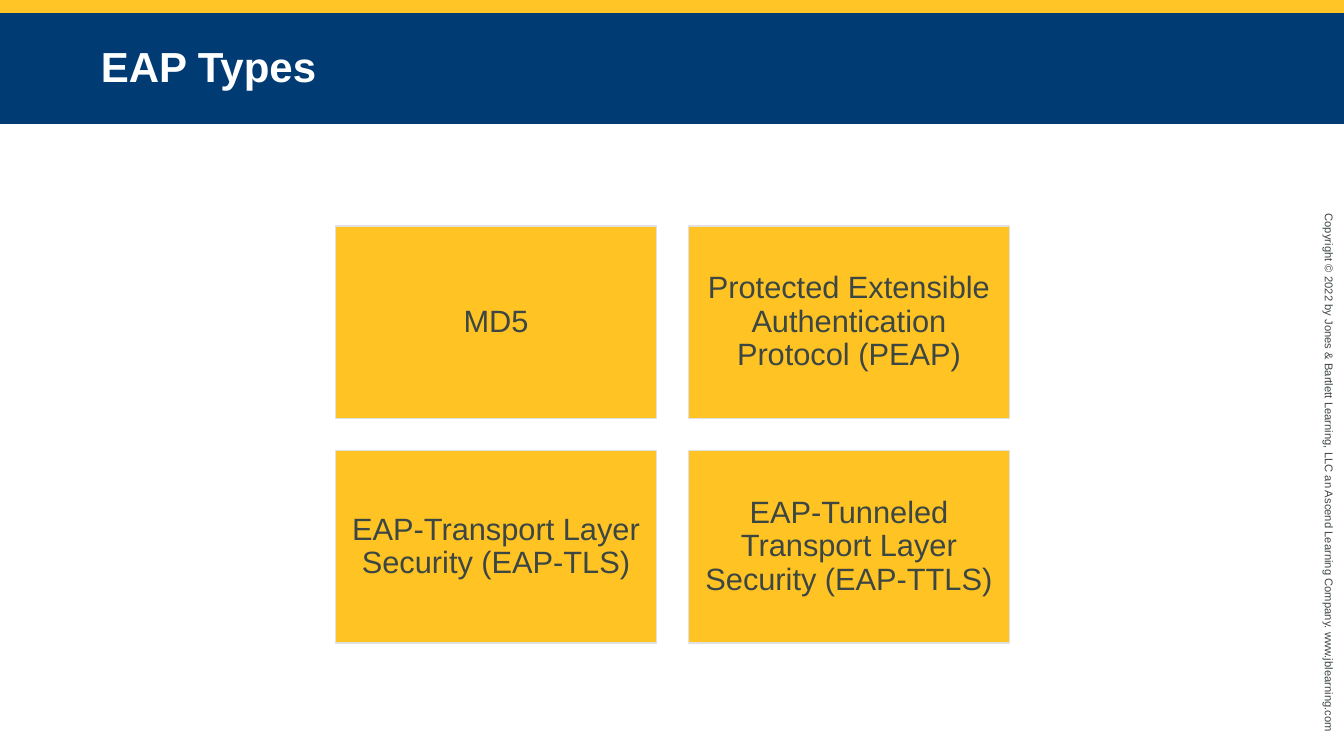
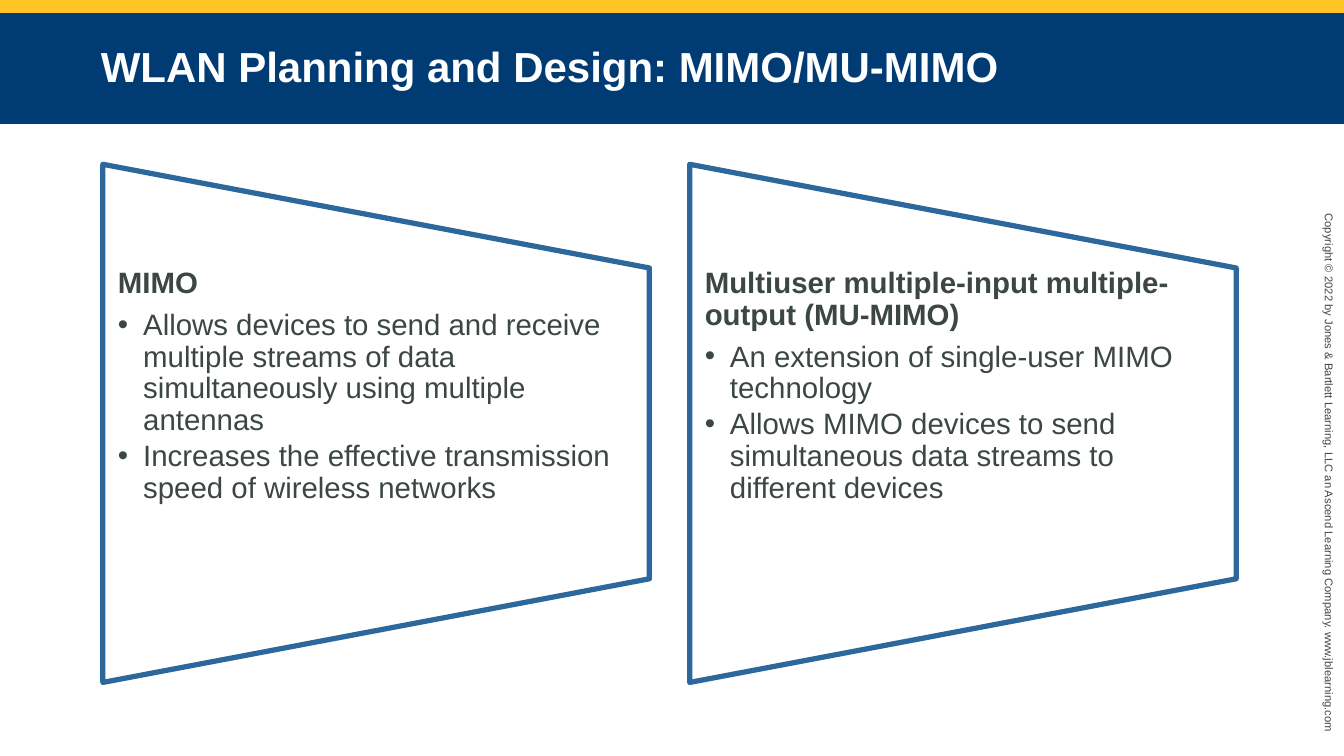
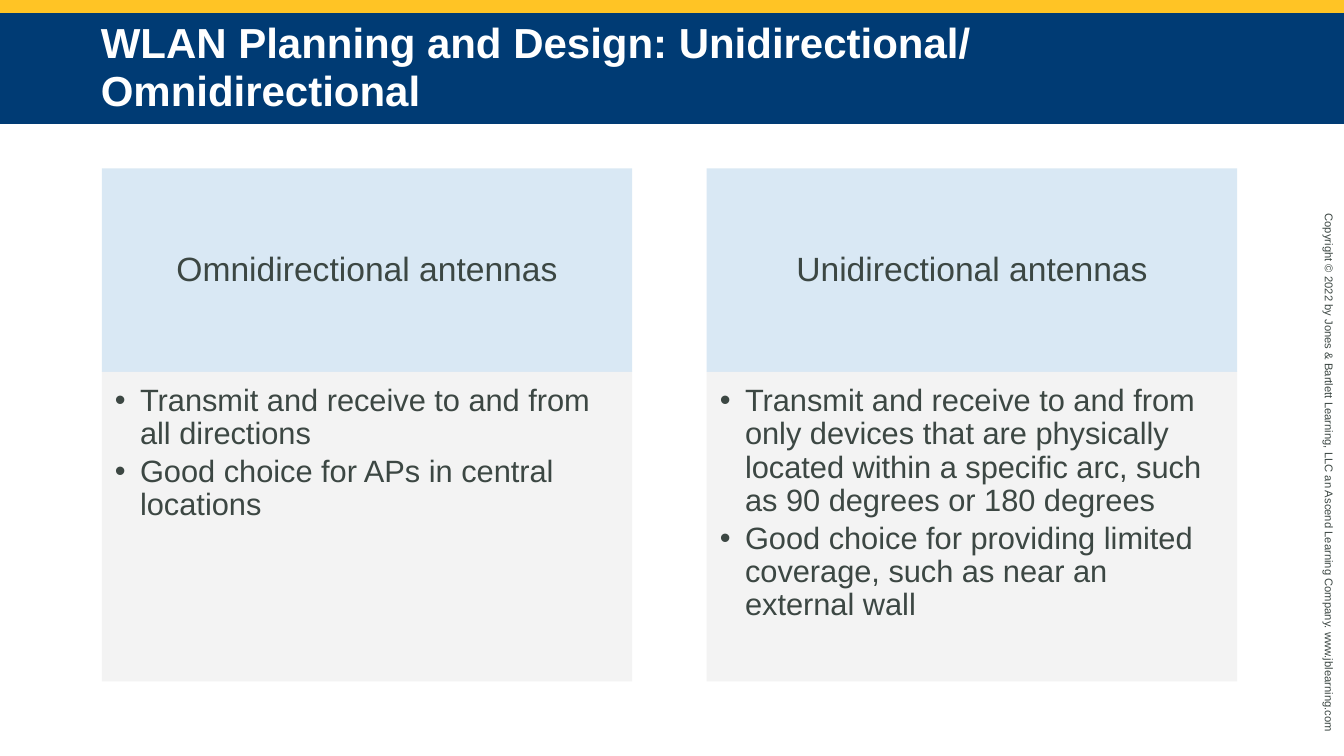
"""Build three slides on EAP types and WLAN planning and design."""
from dataclasses import dataclass

import pptx
import pptx.util
import pptx.dml.color
import pptx.enum.shapes
import pptx.enum.text
import pptx.oxml.ns
from lxml import etree

Inches = pptx.util.Inches
Pt = pptx.util.Pt
Shape = pptx.enum.shapes.MSO_SHAPE
Align = pptx.enum.text.PP_ALIGN
Anchor = pptx.enum.text.MSO_ANCHOR
qn = pptx.oxml.ns.qn


@dataclass(frozen=True)
class Theme:
    """Colours, font, type sizes and slide measures."""
    font: str = "Arial"
    text: str = "3C4743"
    white: str = "FFFFFF"
    band: str = "FFC425"
    title_fill: str = "003B74"
    tile: str = "FFC324"
    tile_line: str = "E1E1E1"
    outline: str = "2C689B"
    header: str = "D9E8F4"
    body: str = "F2F2F2"
    title_size: int = 30
    header_size: int = 24
    tile_size: int = 22
    panel_size: int = 21
    footer_size: int = 8
    width: float = 13.33
    height: float = 7.5
    band_height: float = 0.13
    title_height: float = 1.1


THEME = Theme()
COPYRIGHT = ("Copyright © 2022 by Jones & Bartlett Learning, LLC an Ascend "
             "Learning Company. www.jblearning.com")


def rgb(value):
    """Turn a hex string into a colour."""
    return pptx.dml.color.RGBColor.from_string(value)


def add_box(s, at, fill=None, line=None, line_width=1, kind=Shape.RECTANGLE):
    """Add a preset shape with an optional fill and outline."""
    sp = s.shapes.add_shape(kind, *map(Inches, at))
    sp.shadow.inherit = False
    if fill:
        sp.fill.solid()
        sp.fill.fore_color.rgb = rgb(fill)
    else:
        sp.fill.background()
    if line:
        sp.line.color.rgb = rgb(line)
        sp.line.width = Pt(line_width)
    else:
        sp.line.fill.background()
    return sp


def set_opacity(sp, percent):
    """Make a solid fill partly transparent."""
    colour = sp.fill._xPr.find(qn("a:solidFill"))[0]
    etree.SubElement(colour, qn("a:alpha")).set("val", str(percent * 1000))


def set_frame(sp, insets, anchor=Anchor.TOP):
    """Set wrapping, insets (left, top, right, bottom) and anchor."""
    tf = sp.text_frame
    tf.word_wrap = True
    tf.margin_left, tf.margin_top, tf.margin_right, tf.margin_bottom = map(Inches, insets)
    tf.vertical_anchor = anchor
    return tf


def format_paragraph(p, size, color=THEME.text, bold=False, align=Align.LEFT,
                     spacing=0.9, after=0.0):
    """Format a paragraph and its runs, with space after as a share of size."""
    p.alignment = align
    p.line_spacing = spacing
    p.space_after = Pt(round(size * after, 2))
    for r in p.runs:
        r.font.name = THEME.font
        r.font.size = Pt(size)
        r.font.bold = bold
        r.font.color.rgb = rgb(color)


def add_bullet(p):
    """Give a paragraph a hanging bullet."""
    pPr = p._p.get_or_add_pPr()
    pPr.set("marL", str(Inches(0.25)))
    pPr.set("indent", str(-Inches(0.25)))
    etree.SubElement(pPr, qn("a:buFont")).set("typeface", THEME.font)
    etree.SubElement(pPr, qn("a:buChar")).set("char", "•")


def write_list(tf, items, size, heading=None):
    """Write bullet items, under a bold heading if there is one."""
    lines = ([heading] if heading else []) + items
    for i, line in enumerate(lines):
        p = tf.paragraphs[0] if i == 0 else tf.add_paragraph()
        p.text = line
        if heading and i == 0:
            format_paragraph(p, size, bold=True, after=0.35)
        else:
            add_bullet(p)
            format_paragraph(p, size, after=0.15)


def write_centred(sp, text, size, insets):
    """Write one centred paragraph in the middle of a shape."""
    p = set_frame(sp, insets, Anchor.MIDDLE).paragraphs[0]
    p.text = text
    format_paragraph(p, size, align=Align.CENTER, after=0.35)


def add_base_slide(prs, title):
    """Add a slide with the top band, the copyright line and the title."""
    s = prs.slides.add_slide(prs.slide_layouts[6])
    add_box(s, (0, 0, THEME.width, THEME.band_height), THEME.band)

    footer = s.shapes.add_textbox(*map(Inches, (10.44, 4.64, 5.48, 0.24)))
    footer.rotation = 90
    p = set_frame(footer, (0.1, 0.05, 0.1, 0.05)).paragraphs[0]
    p.text = COPYRIGHT
    format_paragraph(p, THEME.footer_size, spacing=1.0)

    bar = add_box(s, (0, THEME.band_height, THEME.width, THEME.title_height),
                  THEME.title_fill)
    p = set_frame(bar, (1, 0.05, 1, 0.05), Anchor.MIDDLE).paragraphs[0]
    p.text = title
    format_paragraph(p, THEME.title_size, THEME.white, bold=True, spacing=0.95)
    return s


def add_tiles(s, labels, columns=2):
    """Add a grid of labelled tiles."""
    left, top, width, height, gap = 3.33, 2.24, 3.18, 1.91, 0.32
    for i, label in enumerate(labels):
        row, column = divmod(i, columns)
        at = (left + column * (width + gap), top + row * (height + gap), width, height)
        tile = add_box(s, at, THEME.tile, THEME.tile_line)
        write_centred(tile, label, THEME.tile_size, (0.09,) * 4)


def add_panel(s, left, heading, items):
    """Add a tapered outline with a heading and bullets over it."""
    top, width, height = 1.63, 5.42, 5.14
    turned = (left + (width - height) / 2, top + (height - width) / 2, height, width)
    outline = add_box(s, turned, line=THEME.outline, line_width=3.75,
                      kind=Shape.FLOWCHART_MANUAL_OPERATION)
    outline.rotation = 270
    text = s.shapes.add_textbox(*map(Inches, (left, top + height / 5, width, height * 0.6)))
    write_list(set_frame(text, (0.15, 0, 0.15, 0)), items, THEME.panel_size, heading)


def add_card(s, left, heading, items):
    """Add a header box with a bulleted body below it."""
    top, width, header_height, body_height = 1.67, 5.26, 2.02, 3.07
    header = add_box(s, (left, top, width, header_height), THEME.header)
    write_centred(header, heading, THEME.header_size, (0.19, 0.11, 0.19, 0.11))
    body = add_box(s, (left, top + header_height, width, body_height), THEME.body)
    set_opacity(body, 90)
    write_list(set_frame(body, (0.13, 0.13, 0.17, 0.19)), items, THEME.tile_size)


def main():
    """Build and save the slides."""
    prs = pptx.Presentation()
    prs.slide_width = Inches(THEME.width)
    prs.slide_height = Inches(THEME.height)

    s = add_base_slide(prs, "EAP Types")
    add_tiles(s, [
        "MD5",
        "Protected Extensible Authentication Protocol (PEAP)",
        "EAP-Transport Layer Security (EAP-TLS)",
        "EAP-Tunneled Transport Layer Security (EAP-TTLS)",
    ])

    s = add_base_slide(prs, "WLAN Planning and Design: MIMO/MU-MIMO")
    add_panel(s, 1.02, "MIMO", [
        "Allows devices to send and receive multiple streams of data "
        "simultaneously using multiple antennas",
        "Increases the effective transmission speed of wireless networks",
    ])
    add_panel(s, 6.84, "Multiuser multiple-input multiple-output (MU-MIMO)", [
        "An extension of single-user MIMO technology",
        "Allows MIMO devices to send simultaneous data streams to different devices",
    ])

    s = add_base_slide(prs, "WLAN Planning and Design: Unidirectional/\nOmnidirectional")
    add_card(s, 1.01, "Omnidirectional antennas", [
        "Transmit and receive to and from all directions",
        "Good choice for APs in central locations",
    ])
    add_card(s, 7.01, "Unidirectional antennas", [
        "Transmit and receive to and from only devices that are physically "
        "located within a specific arc, such as 90 degrees or 180 degrees",
        "Good choice for providing limited coverage, such as near an external wall",
    ])

    prs.save("out.pptx")


if __name__ == "__main__":
    main()
